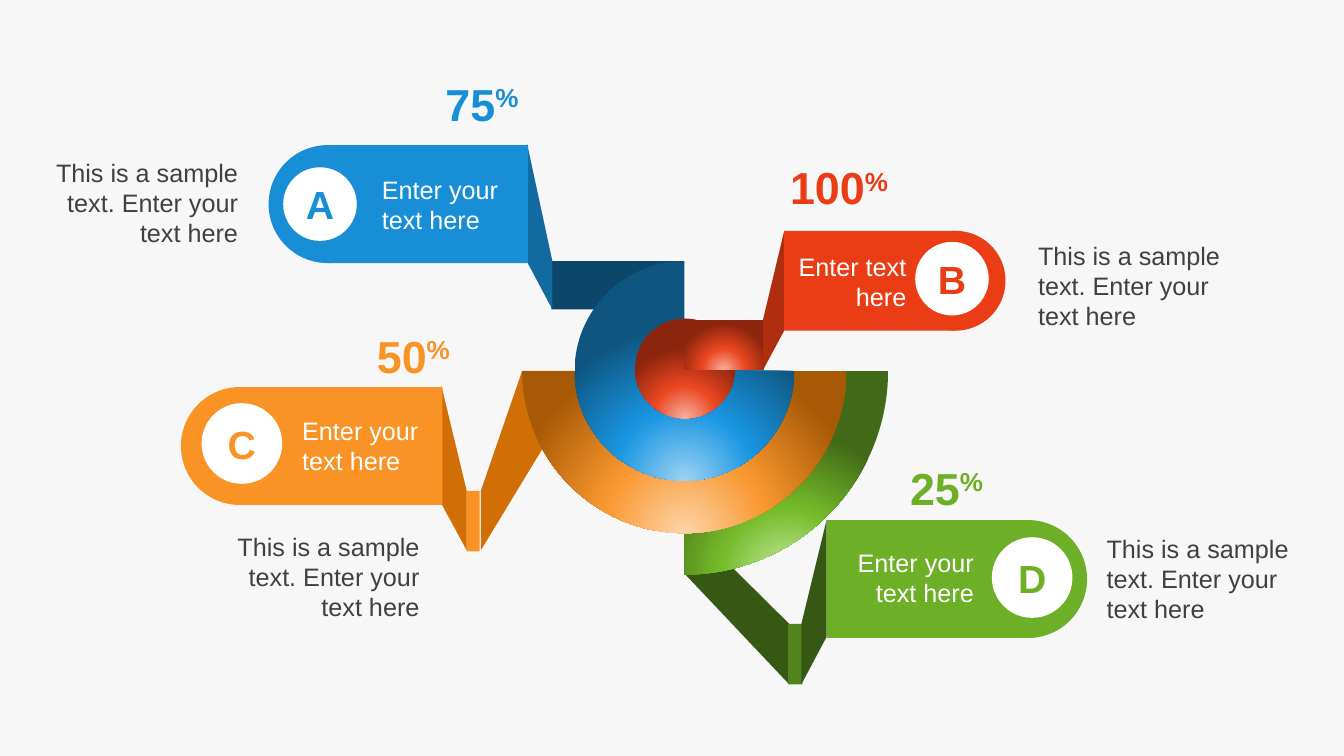
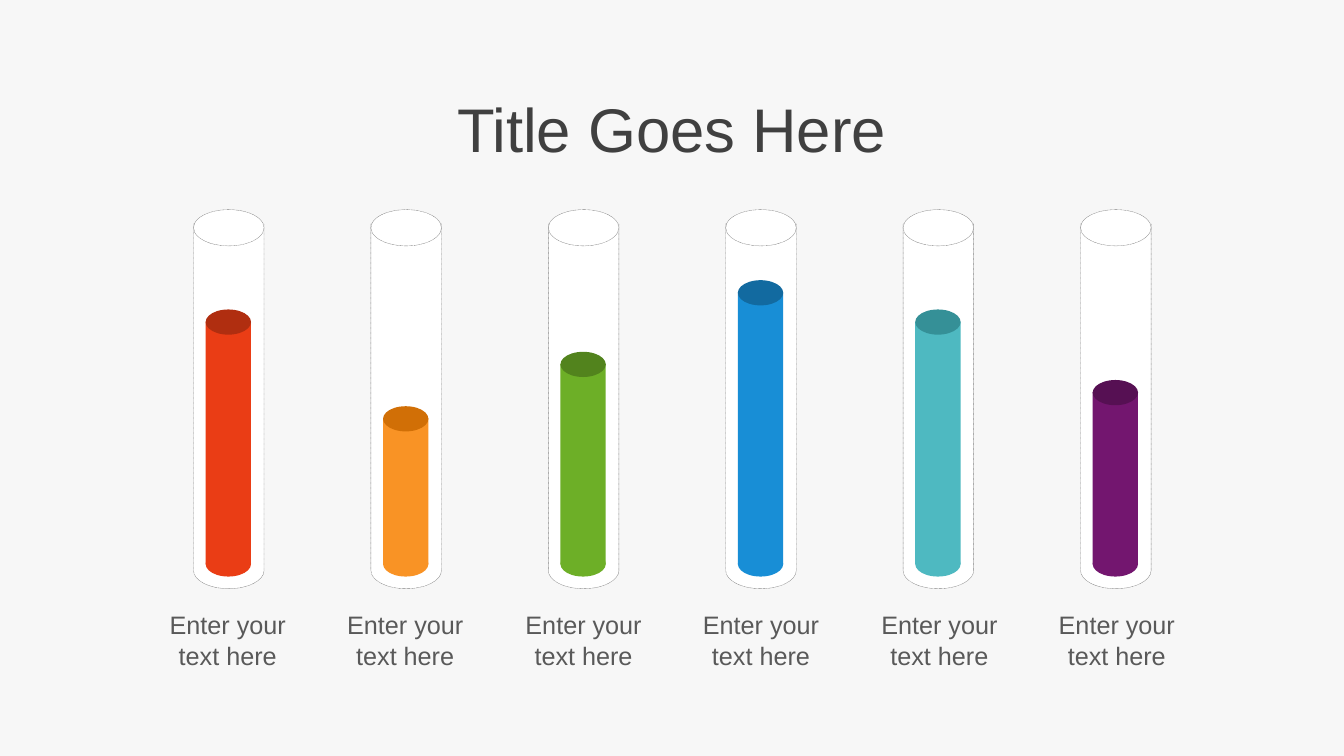
from collections import namedtuple
from dataclasses import dataclass

from lxml.etree import SubElement
from pptx import Presentation
from pptx.dml.color import RGBColor
from pptx.enum.dml import MSO_LINE
from pptx.enum.shapes import MSO_SHAPE as Preset
from pptx.enum.text import MSO_ANCHOR, MSO_AUTO_SIZE, PP_ALIGN as Align
from pptx.oxml.ns import qn
from pptx.util import Inches, Pt

PX = 9144  # 100 px to the inch
BEND = 0.55  # pull of a quarter arc towards its corner


@dataclass(frozen=True)
class Theme:
    font: str = "Arial"
    background: str = "F7F7F7"
    white: str = "FFFFFF"
    ink: str = "404040"
    caption: str = "595959"
    outline: str = "808080"
    red: str = "EA3D15"
    red_dark: str = "B02E10"
    orange: str = "F99325"
    orange_dark: str = "D16F06"
    green: str = "6DAF27"
    green_dark: str = "52831D"
    green_deep: str = "375814"
    blue: str = "188ED6"
    blue_dark: str = "126AA0"
    blue_deep: str = "0C476B"
    teal: str = "4EB9C1"
    teal_dark: str = "359097"
    purple: str = "73166F"
    purple_dark: str = "561053"
    red_glow: tuple = ("F7B1A1", "EB4721", "8C250D")
    orange_glow: tuple = ("FDD4A8", "F99830", "A75905")
    green_glow: tuple = ("C5E99E", "75BB2A", "416917")
    blue_glow: tuple = ("9DD3F4", "1996E2", "0E5580")
    title_size: int = 44
    percent_size: int = 32
    letter_size: int = 28
    body_size: int = 18


theme = Theme()


def draw(container, preset, geometry, fill, outlined=False):
    """Draw a preset in a box, or an outline through points when preset is None.

    An outline step is a point, or a (corner, end) pair for a quarter arc.
    A tuple of three colours as fill gives a radial glow from below.
    """
    if preset is None:
        points, curve_starts = [], []
        for first, second in geometry:
            if isinstance(first, tuple):
                start = points[-1]
                curve_starts.append(len(points))
                for near in (start, second):
                    points.append(tuple(a + (b - a) * BEND for a, b in zip(near, first)))
                points.append(second)
            else:
                points.append((first, second))
        points = [(x * PX, y * PX) for x, y in points]
        builder = container.shapes.build_freeform(*points[0])
        builder.add_line_segments(points[1:], close=True)
        shape = builder.convert_to_shape()
        outline = next(shape.element.iter(qn("a:path")))
        steps = list(outline)
        for index in curve_starts:
            curve = steps[index]
            curve.tag = qn("a:cubicBezTo")
            for step in steps[index + 1:index + 3]:
                curve.append(step[0])
                outline.remove(step)
    else:
        shape = container.shapes.add_shape(preset, *(value * PX for value in geometry))
    shape.shadow.inherit = False
    if isinstance(fill, tuple):
        shape.fill.gradient()
        gradient = shape.element.spPr.find(qn("a:gradFill"))
        for child in list(gradient):
            gradient.remove(child)
        stops = SubElement(gradient, qn("a:gsLst"))
        for position, color in zip((0, 46000, 100000), fill):
            stop = SubElement(stops, qn("a:gs"), pos=str(position))
            SubElement(stop, qn("a:srgbClr"), val=color)
        focus = SubElement(gradient, qn("a:path"), path="circle")
        SubElement(focus, qn("a:fillToRect"), l="50000", t="130000", r="50000", b="-30000")
    else:
        shape.fill.solid()
        shape.fill.fore_color.rgb = RGBColor.from_string(fill)
    if outlined:
        shape.line.color.rgb = RGBColor.from_string(theme.outline)
        shape.line.width = Pt(0.25)
        shape.line.dash_style = MSO_LINE.ROUND_DOT
    else:
        shape.line.fill.background()
    return shape


def write(shape, text, size, color, align, bold=False, raised=""):
    """Put one paragraph into a shape, with an optional superscript ending."""
    frame = shape.text_frame
    frame.word_wrap = True
    paragraph = frame.paragraphs[0]
    paragraph.alignment = align
    for part in filter(None, (text, raised)):
        run = paragraph.add_run()
        run.text = part
        for name, value in dict(name=theme.font, size=Pt(size), bold=bold).items():
            setattr(run.font, name, value)
        run.font.color.rgb = RGBColor.from_string(color)
    if raised:
        run._r.get_or_add_rPr().set("baseline", "30000")


presentation = Presentation()
presentation.slide_width = Inches(40) // 3
presentation.slide_height = 750 * PX
master_fill = presentation.slide_master.background.fill
master_fill.solid()
master_fill.fore_color.rgb = RGBColor.from_string(theme.background)
title_only, blank = presentation.slide_layouts[5], presentation.slide_layouts[6]

# Slide 1: spiral with four branches
slide = presentation.slides.add_slide(blank)

draw(slide, None, [(477, 487), (518, 368), (585, 368), (477, 546)], theme.orange_dark)
draw(slide, Preset.RECTANGLE, (547, 259, 131, 48), theme.blue_deep)
draw(slide, None, [(679, 516), (783, 619), (783, 679), (679, 569)], theme.green_deep)

CENTER_X, CENTER_Y = 679, 368
QUARTERS = [((1, 1), (0, 1)), ((-1, 1), (-1, 0)), ((-1, -1), (0, -1))]
for radius, quarter_count, glow in (
    (202, 1, theme.green_glow),
    (161, 2, theme.orange_glow),
    (109, 3, theme.blue_glow),
):
    arcs = [
        tuple((CENTER_X + radius * x, CENTER_Y + radius * y) for x, y in quarter)
        for quarter in QUARTERS[:quarter_count]
    ]
    draw(slide, None, [(CENTER_X, CENTER_Y), (CENTER_X + radius, CENTER_Y), *arcs], glow)
core = slide.shapes.add_group_shape()
draw(core, Preset.OVAL, (630, 316, 99, 99), theme.red_glow)
draw(core, Preset.RECTANGLE, (679, 317, 78, 50), theme.red_glow)

draw(slide, Preset.RECTANGLE, (782, 619, 14, 60), theme.green_dark)
draw(slide, Preset.RECTANGLE, (463, 487, 13, 60), theme.orange)

Branch = namedtuple(
    "Branch", "letter on_left color fold_color fold banner badge percent percent_box label label_box note_box"
)
branches = [
    Branch("A", True, theme.blue, theme.blue_dark,
           [(548, 259), (523, 143), (523, 260), (548, 307)],
           (325, 144, 199, 117), (281, 166, 73, 73), "75", (417, 71, 107, 64),
           "Enter your text here", (369, 168, 147, 71), (38, 151, 208, 101)),
    Branch("B", False, theme.red, theme.red_dark,
           [(757, 317), (778, 229), (778, 328), (757, 367)],
           (778, 229, 170, 99), (908, 240, 73, 73), "100", (774, 154, 124, 64),
           "Enter text here", (781, 244, 128, 71), (1020, 233, 208, 101)),
    Branch("C", True, theme.orange, theme.orange_dark,
           [(463, 487), (438, 383), (438, 500), (463, 546)],
           (238, 384, 201, 117), (200, 400, 80, 80), "50", (349, 321, 107, 64),
           "Enter your text here", (290, 407, 147, 71), (218, 522, 208, 101)),
    Branch("D", False, theme.green, theme.green_deep,
           [(795, 619), (820, 516), (820, 632), (795, 679)],
           (820, 516, 200, 117), (984, 533, 80, 80), "25", (893, 452, 107, 64),
           "Enter your text here", (829, 538, 147, 71), (1088, 524, 208, 101)),
]
SAMPLE = "This is a sample text. Enter your text here"

for branch in branches:
    left, top, width, height = branch.banner
    outer_end = left if branch.on_left else left + width
    outward, inward = (Align.RIGHT, Align.LEFT) if branch.on_left else (Align.LEFT, Align.RIGHT)
    draw(slide, None, branch.fold, branch.fold_color)
    draw(slide, Preset.RECTANGLE, branch.banner, branch.color)
    draw(slide, Preset.OVAL, (outer_end - height / 2, top, height, height), branch.color)
    badge = draw(slide, Preset.OVAL, branch.badge, theme.white)
    write(badge, branch.letter, theme.letter_size, branch.color, Align.CENTER, bold=True)
    for box, text, size, color, align, bold, raised in (
        (branch.percent_box, branch.percent, theme.percent_size, branch.color, outward, True, "%"),
        (branch.label_box, branch.label, theme.body_size, theme.white, inward, False, ""),
        (branch.note_box, SAMPLE, theme.body_size, theme.ink, outward, False, ""),
    ):
        text_box = slide.shapes.add_textbox(*(value * PX for value in box))
        write(text_box, text, size, color, align, bold, raised)
        text_box.text_frame.auto_size = MSO_AUTO_SIZE.SHAPE_TO_FIT_TEXT

# Slide 2: six filled tubes
slide = presentation.slides.add_slide(title_only)
title = slide.shapes.title
for name, value in dict(left=328, top=85, width=677, height=84).items():
    setattr(title, name, value * PX)
title.text_frame.vertical_anchor = MSO_ANCHOR.TOP
write(title, "Title Goes Here", theme.title_size, theme.ink, Align.CENTER)

TUBE_WIDTH, TUBE_TOP, TUBE_BOTTOM, RIM_HEIGHT = 70, 222, 584, 36
LIQUID_WIDTH, LIQUID_BASE, SURFACE_HEIGHT = 45, 560, 25
tubes = [
    (307, theme.red, theme.red_dark),
    (403, theme.orange, theme.orange_dark),
    (349, theme.green, theme.green_dark),
    (278, theme.blue, theme.blue_dark),
    (307, theme.teal, theme.teal_dark),
    (377, theme.purple, theme.purple_dark),
]
for index, (level, color, surface_color) in enumerate(tubes):
    left = 192 + 176 * index
    middle, right = left + TUBE_WIDTH // 2, left + TUBE_WIDTH
    bend_top = TUBE_BOTTOM - RIM_HEIGHT // 2
    tube = [
        (left, TUBE_TOP), (right, TUBE_TOP), (right, bend_top),
        ((right, TUBE_BOTTOM), (middle, TUBE_BOTTOM)),
        ((left, TUBE_BOTTOM), (left, bend_top)),
    ]
    draw(slide, None, tube, theme.white, outlined=True)

    liquid = slide.shapes.add_group_shape()
    liquid_top = level + SURFACE_HEIGHT // 2
    for preset, top, height, fill in (
        (Preset.RECTANGLE, liquid_top, LIQUID_BASE - liquid_top, color),
        (Preset.OVAL, level, SURFACE_HEIGHT, surface_color),
        (Preset.OVAL, LIQUID_BASE - SURFACE_HEIGHT // 2 - 1, SURFACE_HEIGHT, color),
    ):
        draw(liquid, preset, (left + 12, top, LIQUID_WIDTH, height), fill)
    draw(slide, Preset.OVAL, (left, 208, TUBE_WIDTH, RIM_HEIGHT), theme.white, outlined=True)

    label_left = round(138 + 176.4 * index)
    label = slide.shapes.add_textbox(*(value * PX for value in (label_left, 600, 176, 71)))
    write(label, "Enter your text here", theme.body_size, theme.caption, Align.CENTER)
    label.text_frame.auto_size = MSO_AUTO_SIZE.SHAPE_TO_FIT_TEXT

presentation.save("out.pptx")
